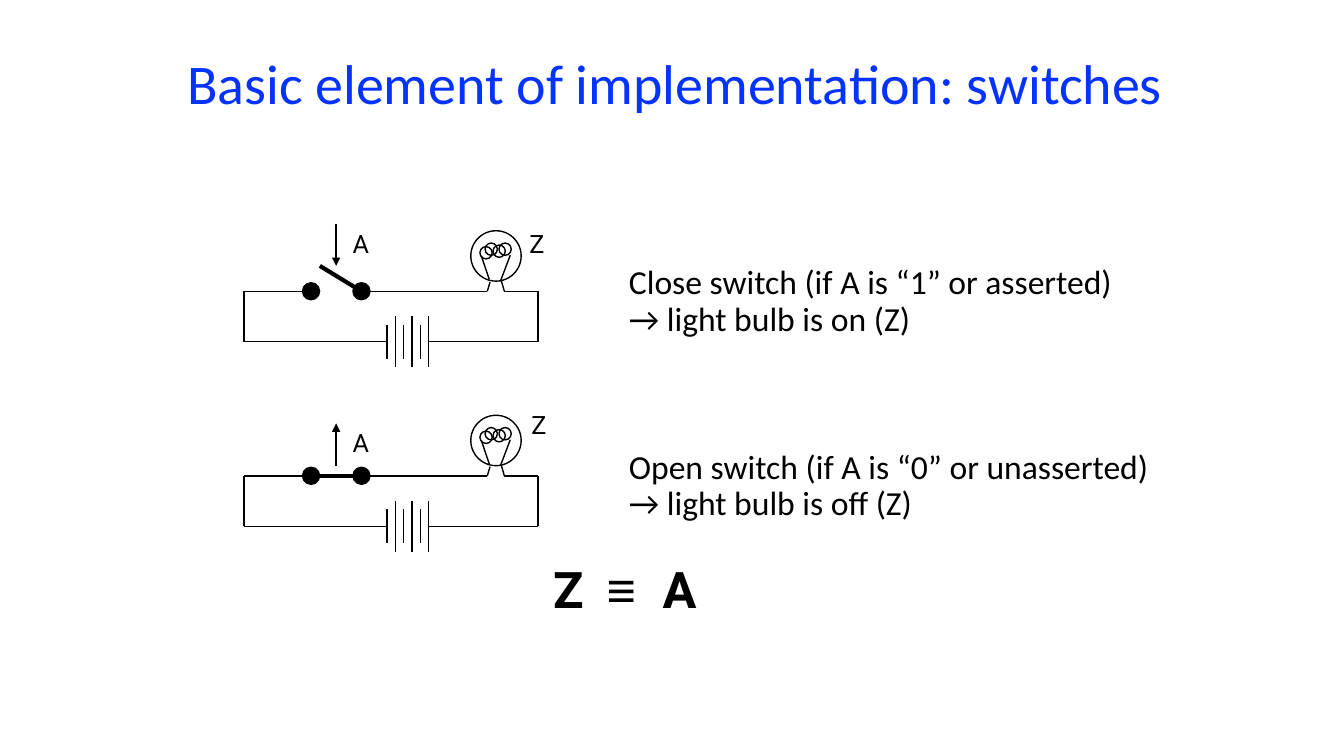
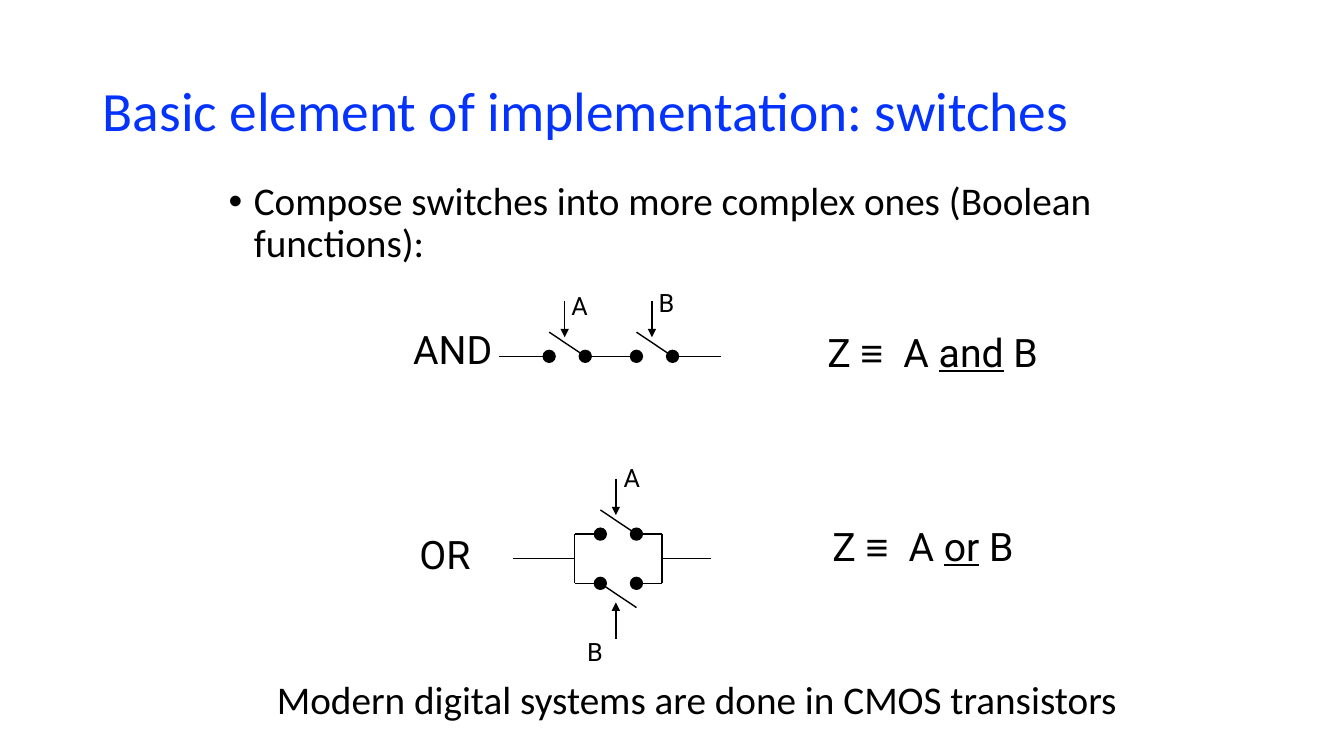
from itertools import pairwise

from lxml.etree import SubElement
from pptx import Presentation
from pptx.dml.color import RGBColor
from pptx.enum.shapes import MSO_CONNECTOR, MSO_SHAPE
from pptx.enum.text import MSO_ANCHOR
from pptx.oxml.ns import qn
from pptx.util import Cm, Pt

BLACK, WHITE, BLUE = "000000", "FFFFFF", "0432FF"
TEXT_FONT, LABEL_FONT, SYMBOL_FONT = "Calibri", "Roboto", "Arial"
TITLE = "Basic element of implementation: switches"
TIGHT, ROOMY = (0.05, 0.08), (0.25, 0.13)
LABEL_SPACING = Pt(26)
SWITCH_GAP = 0.91


def color(value):
    """Turn a hex string into a colour."""
    return RGBColor.from_string(value)


def add_box(page, left, top, width, height, insets=TIGHT):
    """Add an empty wrapping text box and return its text frame."""
    frame = page.shapes.add_textbox(Cm(left), Cm(top), Cm(width), Cm(height)).text_frame
    frame.word_wrap = True
    frame.margin_left = frame.margin_right = Cm(insets[0])
    frame.margin_top = frame.margin_bottom = Cm(insets[1])
    return frame


def style(para, size, font=LABEL_FONT, spacing=LABEL_SPACING, hue=BLACK):
    """Set the line spacing and font of a paragraph."""
    para.line_spacing = spacing
    para.font.size = Pt(size)
    para.font.name = font
    para.font.color.rgb = color(hue)


def add_text(page, left, top, width, height, text, size, font=LABEL_FONT,
             spacing=LABEL_SPACING, insets=TIGHT):
    """Add a box with one paragraph for each line of text."""
    frame = add_box(page, left, top, width, height, insets)
    for index, line in enumerate(text.splitlines()):
        para = frame.paragraphs[0] if index == 0 else frame.add_paragraph()
        para.text = line
        style(para, size, font, spacing)


def add_title(page, left, top, width, height, size):
    """Add the blue slide title."""
    frame = add_box(page, left, top, width, height, ROOMY)
    frame.vertical_anchor = MSO_ANCHOR.MIDDLE
    frame.text = TITLE
    style(frame.paragraphs[0], size, TEXT_FONT, 0.9, BLUE)


def add_formula(page, box, size, stops, spans, insets=TIGHT):
    """Add a formula from (text, font, underlined) spans with tab stops."""
    para = add_box(page, *box, insets).paragraphs[0]
    tabs = SubElement(para._p.get_or_add_pPr(), qn("a:tabLst"))
    for stop in stops:
        SubElement(tabs, qn("a:tab"), pos=str(Cm(stop)), algn="l")
    for text, font, underlined in spans:
        span = para.add_run()
        span.text = text
        span.font.name = font
        span.font.underline = underlined
    style(para, size)
    return para


def add_line(page, start, end, weight=1, arrow=False):
    """Draw a black line, with an arrowhead at its end if asked."""
    line = page.shapes.add_connector(
        MSO_CONNECTOR.STRAIGHT, *(Cm(value) for value in (*start, *end)))
    line.line.color.rgb = color(BLACK)
    line.line.width = Pt(weight)
    if arrow:
        SubElement(line.line._get_or_add_ln(), qn("a:tailEnd"), type="triangle")
    SubElement(line._element.spPr, qn("a:effectLst"))


def add_wire(page, left, top, *points):
    """Draw lines through points given relative to left and top."""
    for start, end in pairwise((left + x, top + y) for x, y in points):
        add_line(page, start, end)


def add_disc(page, center_x, center_y, diameter, fill=None):
    """Draw a circle around a centre, hollow unless a fill is given."""
    disc = page.shapes.add_shape(
        MSO_SHAPE.OVAL, Cm(center_x - diameter / 2), Cm(center_y - diameter / 2),
        Cm(diameter), Cm(diameter))
    disc.shadow.inherit = False
    disc.line.color.rgb = color(BLACK)
    disc.line.width = Pt(1)
    if fill:
        disc.fill.solid()
        disc.fill.fore_color.rgb = color(fill)
    else:
        disc.fill.background()


def draw_bulb(page, left, top):
    """Draw a light bulb whose left foot touches the wire at left, top."""
    add_disc(page, left + 0.22, top - 0.89, 1.27, WHITE)
    for x, y in ((-0.03, -0.97), (0.1, -1.06), (0.3, -1.01), (0.45, -1.06)):
        add_disc(page, left + x, top + y, 0.31)
    add_wire(page, left, top, (-0.15, -0.89), (0.05, -0.3))
    add_wire(page, left, top, (0.58, -0.91), (0.33, -0.25))
    add_wire(page, left, top, (0.07, -0.23), (0, 0))
    add_wire(page, left, top, (0.35, -0.28), (0.43, 0))


def draw_battery(page, left, middle):
    """Draw six plates of alternating height."""
    for index in range(6):
        half = 0.64 if index % 2 else 0.43
        add_wire(page, left + index * 0.21, middle, (0, -half), (0, half))


def draw_lamp_circuit(page, left, top, lever, arrow, lamp_label, caption):
    """Draw a switch, bulb and battery loop with its upper wire at top."""
    add_wire(page, left, top, (2.96, 0), (6.13, 0))
    add_wire(page, left, top, (6.56, 0), (7.41, 0), (7.41, 1.27), (4.66, 1.27))
    add_wire(page, left, top, (3.6, 1.27), (0, 1.27), (0, 0), (1.69, 0))
    draw_bulb(page, left + 6.13, top)
    draw_battery(page, left + 3.6, top + 1.27)
    add_line(page, (left + 2.96, top), (left + lever[0], top + lever[1]), weight=3)
    for contact in (1.69, 2.96):
        add_disc(page, left + contact, top, 0.43, BLACK)
    start, tip = arrow
    add_line(page, (left + 2.32, top + start), (left + 2.32, top + tip), arrow=True)
    add_text(page, left + 2.69, top + min(arrow) - 0.13, 1.52, 1.24, "A", 18)
    add_text(page, left + lamp_label[0], top + lamp_label[1], 1.52, 1.24, "Z", 18)
    add_text(page, left + 9.65, top - 0.74, 14, 2.84, caption, 24, TEXT_FONT)


def draw_switch(page, left, top, side, label, label_offset):
    """Draw an open switch; side is -1 for a lever above and 1 for one below."""
    right = left + SWITCH_GAP
    pivot, free = (right, left) if side < 0 else (left, right)
    add_line(page, (pivot, top), (free, top + side * 0.61))
    add_line(page, (left + 0.39, top + side * 1.39), (left + 0.39, top + side * 0.48),
             arrow=True)
    for contact in (left, right):
        add_disc(page, contact, top, 0.3, BLACK)
    add_text(page, left + label_offset[0], top + label_offset[1], 1.52, 1.24, label, 18)


def add_gate_texts(page, name_box, formula_box, name, operator):
    """Add the name of a gate and its formula."""
    add_text(page, *name_box, name, 28)
    add_formula(page, formula_box, 28, [1.92], [
        ("Z ", LABEL_FONT, None), ("≡", SYMBOL_FONT, None), ("\tA ", LABEL_FONT, None),
        (operator, LABEL_FONT, True), (" B", LABEL_FONT, None)])


def draw_and_gate(page, left, top):
    """Draw two switches in series."""
    first, second = 1.27, 3.47
    for start, end in ((0, first), (first + SWITCH_GAP, second),
                       (second + SWITCH_GAP, 5.61)):
        add_wire(page, left, top, (start, 0), (end, 0))
    draw_switch(page, left + first, top, -1, "A", (0.51, -1.9))
    draw_switch(page, left + second, top, -1, "B", (0.51, -1.98))
    add_gate_texts(page, (left - 2.21, top - 0.6, 2.5, 1.24),
                   (left + 8.23, top - 0.52, 6, 1.63), "AND", "and")


def draw_or_gate(page, left, top):
    """Draw two switches in parallel."""
    inner, half, west, east = 2.2, 0.62, 1.55, 3.75
    add_wire(page, left, top, (0, 0), (west, 0))
    add_wire(page, left, top, (east, 0), (4.98, 0))
    for contact, rail in ((inner, west), (inner + SWITCH_GAP, east)):
        add_wire(page, left, top, (contact, -half), (rail, -half), (rail, half),
                 (contact, half))
    draw_switch(page, left + inner, top - half, -1, "A", (0.54, -2.04))
    draw_switch(page, left + inner, top + half, 1, "B", (-0.38, 1.1))
    add_gate_texts(page, (left - 2.41, top - 0.53, 2.08, 1.24),
                   (left + 8, top - 0.74, 6, 1.63), "OR", "or")


def add_bullet(page, left, top, width, height, text):
    """Add one bulleted paragraph with a hanging indent."""
    para = add_box(page, left, top, width, height, ROOMY).paragraphs[0]
    para.text = text
    properties = para._p.get_or_add_pPr()
    properties.set("marL", str(Cm(0.64)))
    properties.set("indent", str(Cm(-0.64)))
    SubElement(properties, qn("a:buFont"), typeface=SYMBOL_FONT)
    SubElement(properties, qn("a:buChar"), char="•")
    style(para, 28, TEXT_FONT, 0.9)


def build_lamp_slide(page):
    """Build the slide with one switch and a light bulb."""
    add_title(page, 4.47, 0.58, 25.5, 3.18, 40)
    draw_lamp_circuit(page, 6.15, 7.34, (1.91, -0.64), (-1.7, -0.64), (7.14, -1.83),
                      "Close switch (if A is “1” or asserted)\n→ light bulb is on (Z)")
    draw_lamp_circuit(page, 6.15, 11.99, (1.69, 0), (-0.25, -1.32), (7.19, -1.9),
                      "Open switch (if A is “0” or unasserted)\n→ light bulb is off (Z)")
    formula = add_formula(page, (13.69, 14.53, 4.8, 1.22), 36, [1.35, 2.76], [
        ("Z", LABEL_FONT, None), ("\t≡", SYMBOL_FONT, None), ("\tA", LABEL_FONT, None)],
        ROOMY)
    formula.font.bold = True


def build_gate_slide(page):
    """Build the slide with switches composed into gates."""
    add_title(page, 2.34, 1.02, 29.21, 3.68, 39.6)
    add_bullet(page, 5.51, 4.45, 22.86, 2.6,
               "Compose switches into more complex ones (Boolean functions):")
    draw_and_gate(page, 12.57, 8.98)
    draw_or_gate(page, 12.93, 14.08)
    add_text(page, 6.73, 16.89, 23, 1.6,
             "Modern digital systems are done in CMOS transistors", 28, TEXT_FONT, 1.0,
             ROOMY)


def main():
    """Build and save the deck."""
    deck = Presentation()
    deck.slide_width, deck.slide_height = Cm(33.87), Cm(19.05)
    for build in (build_lamp_slide, build_gate_slide):
        build(deck.slides.add_slide(deck.slide_layouts[6]))
    deck.save("out.pptx")


if __name__ == "__main__":
    main()
